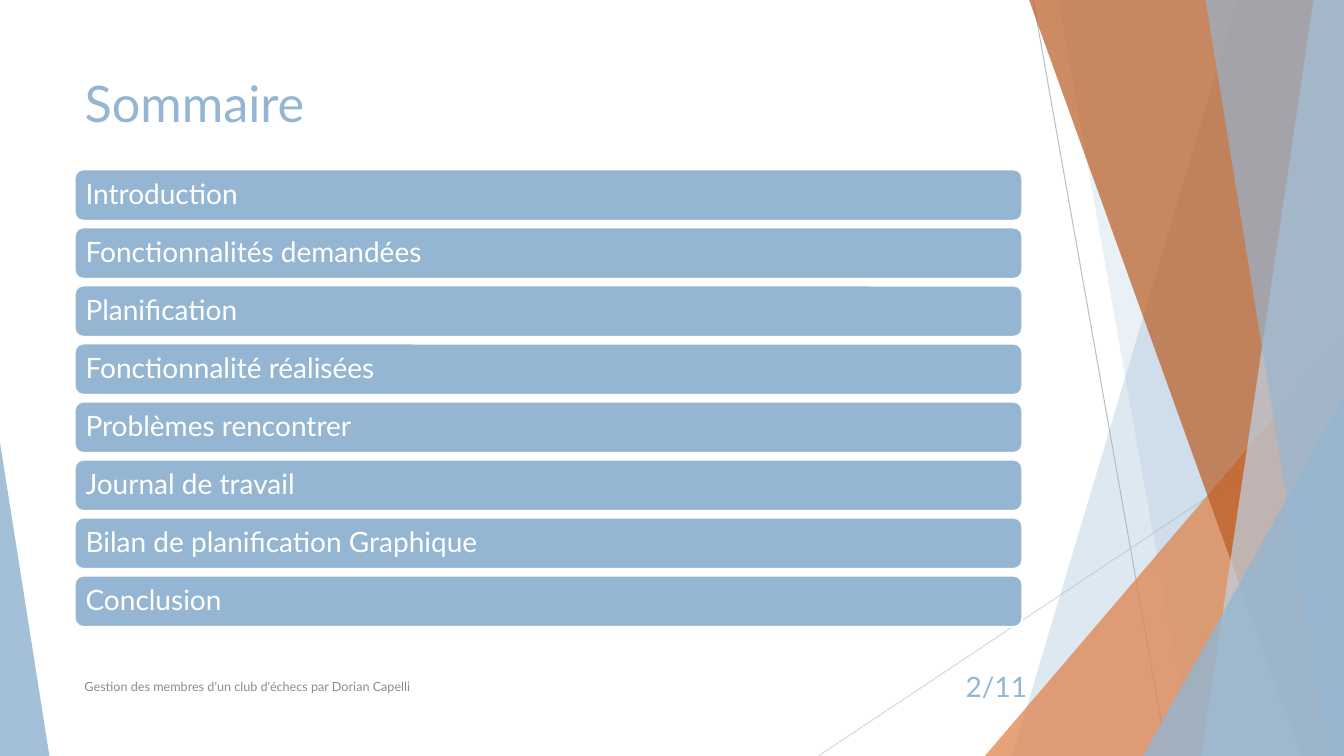
import pptx
import pptx.util
import pptx.dml.color
import pptx.enum.shapes
import pptx.enum.text
import pptx.oxml
import pptx.oxml.ns
from dataclasses import dataclass
from typing import Any, Union

Pt = pptx.util.Pt
RGBColor = pptx.dml.color.RGBColor
SHAPE = pptx.enum.shapes.MSO_SHAPE
ANCHOR = pptx.enum.text.MSO_ANCHOR
ALIGN = pptx.enum.text.PP_ALIGN

BLUE = RGBColor(0x94, 0xB6, 0xD2)
PALE = RGBColor(0xBF, 0xD3, 0xE4)
ORANGE = RGBColor(0xDD, 0x80, 0x47)
RUST = RGBColor(0xB9, 0x5B, 0x22)
WHITE = RGBColor(0xFF, 0xFF, 0xFF)
GREY = RGBColor(0x8C, 0x8C, 0x8C)
SILVER = RGBColor(0xBF, 0xBF, 0xBF)
LIGHT = RGBColor(0xD9, 0xD9, 0xD9)

WIDTH, HEIGHT = 960, 540
LEFT, SPAN = 53.3, 677
BAR_TOP, BAR_HEIGHT, BAR_STEP = 121, 36.7, 41.45
FONT = "Lato"


@dataclass
class Line:
    x1: float
    y1: float
    x2: float
    y2: float
    color: RGBColor


@dataclass
class Band:
    top_x: float
    low_x: float
    color: RGBColor
    alpha: int


@dataclass
class Wedge:
    left: float
    top: float
    width: float
    tip: float
    color: RGBColor
    alpha: int


@dataclass
class Label:
    text: str
    left: float
    width: float
    size: float
    color: RGBColor
    align: Any


LINES = [
    Line(738, 0, 833.8, HEIGHT, SILVER),
    Line(WIDTH, 290.2, 584.6, HEIGHT, LIGHT),
]
DECOR = [
    Band(884.2, 723, BLUE, 30),
    Band(756, 851.8, BLUE, 20),
    Wedge(703.5, 239.8, 256.5, 1, ORANGE, 72),
    Band(735.1, 929.5, RUST, 70),
    Band(938.2, 858.2, PALE, 70),
    Band(861.1, 949, BLUE, 65),
    Wedge(816.5, 283, 143.5, 1, BLUE, 80),
    Wedge(0, 316.1, 35.3, 0, BLUE, 85),
]
TOPICS = [
    "Introduction",
    "Fonctionnalités demandées",
    "Planification",
    "Fonctionnalité réalisées",
    "Problèmes rencontrer",
    "Journal de travail",
    "Bilan de planification Graphique",
    "Conclusion",
]
LABELS = [
    Label("Gestion des membres d'un club d'échecs par Dorian Capelli",
          LEFT, 496, 9, GREY, ALIGN.LEFT),
    Label("2/11", 676, 64.8, 20, BLUE, ALIGN.RIGHT),
]


def write(frame: Any, text: str, size: float, color: RGBColor, align: Any) -> Any:
    frame.word_wrap = True
    para = frame.paragraphs[0]
    para.alignment = align
    run = para.add_run()
    run.text = text
    run.font.name = FONT
    run.font.size = Pt(size)
    run.font.color.rgb = color
    return para


def add_line(slide: Any, line: Line) -> None:
    link = slide.shapes.add_connector(
        pptx.enum.shapes.MSO_CONNECTOR.STRAIGHT,
        Pt(line.x1), Pt(line.y1), Pt(line.x2), Pt(line.y2))
    link.line.color.rgb = line.color
    link.line.width = Pt(0.75)
    pptx.oxml.ns.qn("a:effectLst")
    link._element.spPr.append(pptx.oxml.parse_xml(
        "<a:effectLst %s/>" % pptx.oxml.ns.nsdecls("a")))


def add_decor(slide: Any, item: Union[Band, Wedge]) -> None:
    if isinstance(item, Band):
        path = slide.shapes.build_freeform(Pt(item.top_x), 0)
        path.add_line_segments([
            (Pt(WIDTH), 0), (Pt(WIDTH), Pt(HEIGHT)), (Pt(item.low_x), Pt(HEIGHT))])
        shape = path.convert_to_shape()
    else:
        shape = slide.shapes.add_shape(
            SHAPE.ISOSCELES_TRIANGLE, Pt(item.left), Pt(item.top),
            Pt(item.width), Pt(HEIGHT - item.top))
        shape.adjustments[0] = item.tip
    shape.shadow.inherit = False
    shape.line.fill.background()
    shape.fill.solid()
    shape.fill.fore_color.rgb = item.color
    tint = shape._element.spPr.find(".//" + pptx.oxml.ns.qn("a:srgbClr"))
    tint.append(pptx.oxml.parse_xml('<a:alpha %s val="%d"/>' % (
        pptx.oxml.ns.nsdecls("a"), item.alpha * 1000)))


def add_bar(slide: Any, row: int, text: str) -> None:
    bar = slide.shapes.add_shape(
        SHAPE.ROUNDED_RECTANGLE, Pt(LEFT), Pt(BAR_TOP + row * BAR_STEP),
        Pt(SPAN), Pt(BAR_HEIGHT))
    bar.shadow.inherit = False
    bar.fill.solid()
    bar.fill.fore_color.rgb = BLUE
    bar.line.color.rgb = WHITE
    bar.line.width = Pt(1.5)
    frame = bar.text_frame
    frame.margin_left = frame.margin_right = Pt(6)
    frame.margin_top = frame.margin_bottom = Pt(4)
    frame.vertical_anchor = ANCHOR.MIDDLE
    write(frame, text, 20, WHITE, ALIGN.LEFT).line_spacing = 0.9


def add_label(slide: Any, label: Label) -> None:
    box = slide.shapes.add_textbox(
        Pt(label.left), Pt(476), Pt(label.width), Pt(28.8))
    box.text_frame.vertical_anchor = ANCHOR.MIDDLE
    write(box.text_frame, label.text, label.size, label.color, label.align)


def main() -> None:
    deck = pptx.Presentation()
    deck.slide_width, deck.slide_height = Pt(WIDTH), Pt(HEIGHT)
    slide = deck.slides.add_slide(deck.slide_layouts[5])
    title = slide.shapes.title
    title.left, title.top = Pt(LEFT), Pt(48.2)
    title.width, title.height = Pt(SPAN), Pt(71.3)
    title.text_frame.vertical_anchor = ANCHOR.TOP
    write(title.text_frame, "Sommaire", 36, BLUE, ALIGN.LEFT)
    for line in LINES:
        add_line(slide, line)
    for item in DECOR:
        add_decor(slide, item)
    for row, text in enumerate(TOPICS):
        add_bar(slide, row, text)
    for label in LABELS:
        add_label(slide, label)
    deck.save("out.pptx")


if __name__ == "__main__":
    main()
